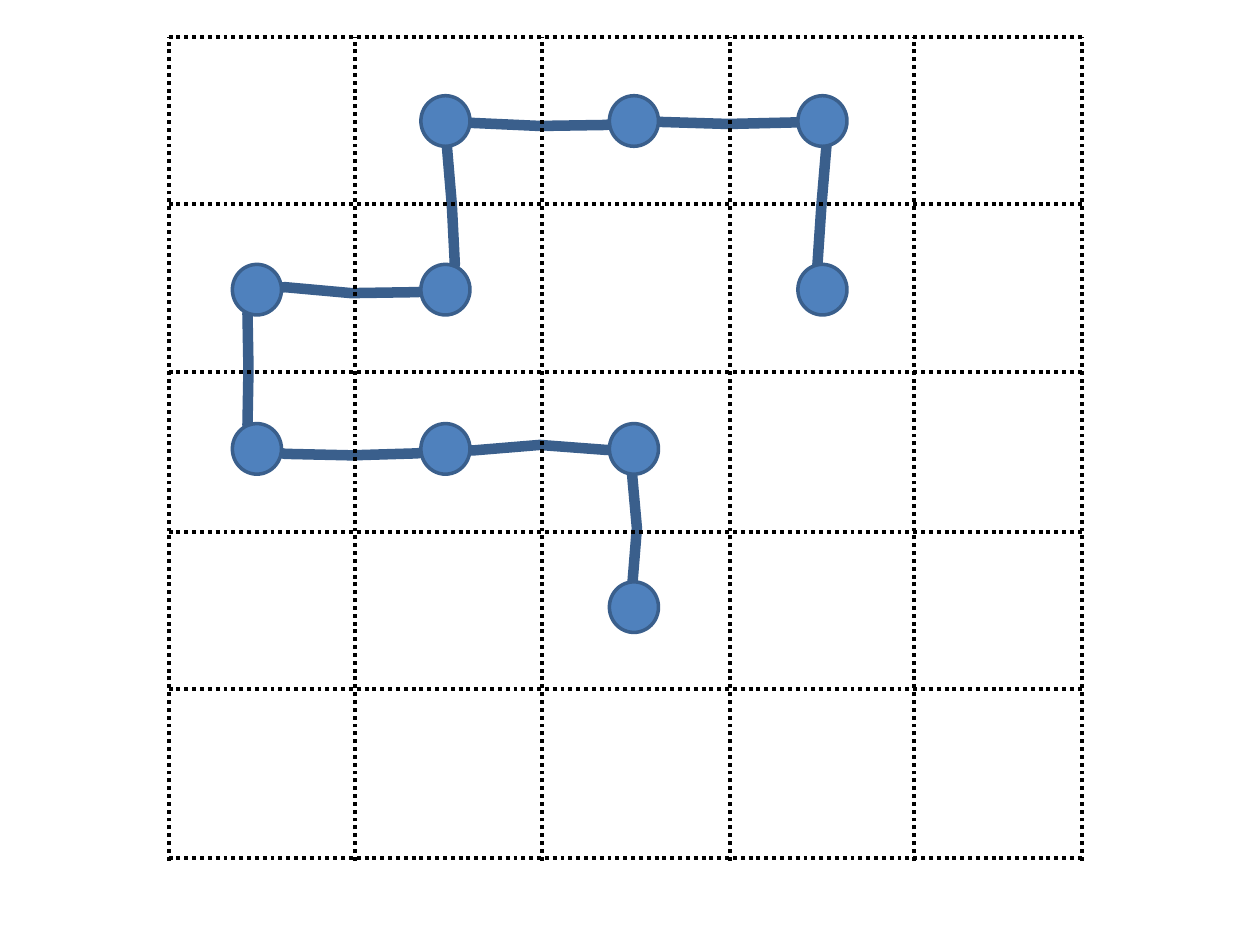
"""Build a slide with a chain of beads on a dotted lattice."""
from itertools import accumulate

from pptx import Presentation
from pptx import util as u
from pptx.dml.color import RGBColor
from pptx.enum import dml, shapes
from pptx.oxml import parse_xml
from pptx.oxml.ns import nsdecls

THEME = {
    "bead": RGBColor(0x4F, 0x81, 0xBD),
    "chain": RGBColor(0x3A, 0x5F, 0x8C),
    "grid": RGBColor(0, 0, 0),
    "bead_line": 2,
    "chain_line": 6,
    "grid_line": 2.25,
}

START_CELL = (2, 3)
STEPS = {"up": (0, -1), "down": (0, 1), "left": (-1, 0), "right": (1, 0)}
LINKS = [
    ("up", (-0.03, 0.06, -0.04)),
    ("left", (0.02, -0.08, 0.03)),
    ("left", (0.09, 0.13, 0.1)),
    ("up", (-0.19, -0.17, -0.19)),
    ("right", (-0.05, 0.07, 0.05)),
    ("up", (0.19, 0.13, 0.03)),
    ("right", (0.04, 0.1, 0.08)),
    ("right", (0.02, 0.06, 0.03)),
    ("down", (0.08, -0.02, -0.1)),
]
SWAY_AT = (0.15, 0.5, 0.85)

COLUMN_WIDTHS = [3.76, 3.76, 3.79, 3.71, 3.4]
ROW_HEIGHTS = [3.37, 3.38, 3.23, 3.17, 3.41]
GRID_X = list(accumulate(COLUMN_WIDTHS, initial=3.4))
GRID_Y = list(accumulate(ROW_HEIGHTS, initial=0.74))
GRID_OVERHANG = 0.05

BEAD_WIDTH, BEAD_HEIGHT = 0.99, 1.02
BEAD_X = [5.18 + 3.8 * column for column in range(4)]
BEAD_Y = [2.44, 5.84, 9.05, 12.24]


def follow_links():
    """Return the cells that the links visit, in order."""
    cells = [START_CELL]
    for direction, _ in LINKS:
        column, row = cells[-1]
        across, down = STEPS[direction]
        cells.append((column + across, row + down))
    return cells


def sway_link(start, end, sways):
    """Return points from start towards end, each pushed sideways by its sway."""
    (x1, y1), (x2, y2) = start, end
    upright = x1 == x2
    return [start] + [
        (x1 + (x2 - x1) * share + (sway if upright else 0),
         y1 + (y2 - y1) * share + (0 if upright else sway))
        for share, sway in zip(SWAY_AT, sways)
    ]


def set_line(part, name, width):
    """Colour and size a line from the theme."""
    part.line.color.rgb = THEME[name]
    part.line.width = u.Pt(THEME[width])


def add_chain(slide, centres):
    """Draw one hand-drawn line through all bead centres."""
    route = []
    for start, end, (_, sways) in zip(centres, centres[1:], LINKS):
        route += sway_link(start, end, sways)
    route.append(centres[-1])
    first, *rest = [(u.Cm(x), u.Cm(y)) for x, y in route]
    builder = slide.shapes.build_freeform(*first)
    builder.add_line_segments(rest, close=False)
    chain = builder.convert_to_shape()
    chain.shadow.inherit = False
    chain.fill.background()
    set_line(chain, "chain", "chain_line")


def add_grid_lines(slide, ends):
    """Draw a group of dotted lines."""
    group = slide.shapes.add_group_shape()
    for end in ends:
        rule = group.shapes.add_connector(shapes.MSO_CONNECTOR.STRAIGHT, *map(u.Cm, end))
        set_line(rule, "grid", "grid_line")
        rule.line.dash_style = dml.MSO_LINE.ROUND_DOT
        rule._element.spPr.append(parse_xml(f"<a:effectLst {nsdecls('a')}/>"))


def add_bead(slide, x, y):
    """Draw a bead centred on x, y."""
    bounds = (x - BEAD_WIDTH / 2, y - BEAD_HEIGHT / 2, BEAD_WIDTH, BEAD_HEIGHT)
    bead = slide.shapes.add_shape(shapes.MSO_SHAPE.OVAL, *map(u.Cm, bounds))
    bead.shadow.inherit = False
    bead.fill.solid()
    bead.fill.fore_color.rgb = THEME["bead"]
    set_line(bead, "chain", "bead_line")


def main():
    """Draw the chain, the lattice and the beads, then save."""
    deck = Presentation()
    deck.slide_width, deck.slide_height = u.Cm(25.4), u.Cm(19.05)
    slide = deck.slides.add_slide(deck.slide_layouts[6])

    left, right, top, bottom = GRID_X[0], GRID_X[-1], GRID_Y[0], GRID_Y[-1]
    centres = [(BEAD_X[column], BEAD_Y[row]) for column, row in follow_links()]
    add_chain(slide, centres)
    add_grid_lines(slide, [(x, bottom + GRID_OVERHANG, x, top) for x in GRID_X])
    add_grid_lines(slide, [(left, y, right, y) for y in GRID_Y])
    for centre in centres:
        add_bead(slide, *centre)

    deck.save("out.pptx")


if __name__ == "__main__":
    main()
